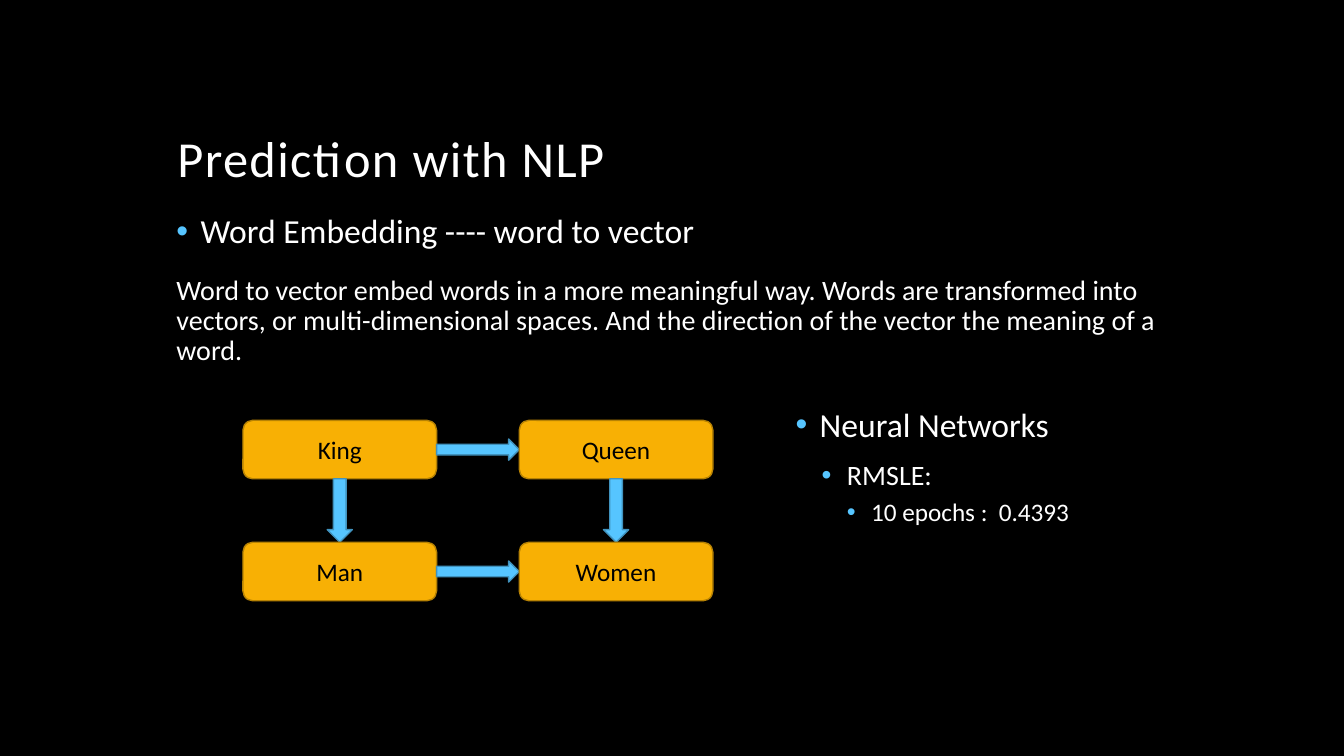
import pptx
import pptx.util
import pptx.dml.color
import pptx.enum.shapes
import pptx.enum.text
import pptx.oxml.ns
import lxml.etree

Inches, Pt = pptx.util.Inches, pptx.util.Pt
RGBColor = pptx.dml.color.RGBColor
SHAPE = pptx.enum.shapes.MSO_SHAPE
ANCHOR = pptx.enum.text.MSO_ANCHOR
ALIGN = pptx.enum.text.PP_ALIGN

# Content
TITLE = "Prediction with NLP"
# Each line: text, level, size, space before, left indent, hanging indent (0 = no bullet)
EMBEDDING = [
    ("Word Embedding ---- word to vector", 0, 24, 18, 0.24, 0.24),
    ("Word to vector embed words in a more meaningful way. Words are transformed "
     "into vectors, or multi-dimensional spaces. And the direction of the vector "
     "the meaning of a word.", 0, 20, 18, 0, 0),
]
NETWORKS = [
    ("Neural Networks", 0, 24, 18, 0.24, 0.24),
    ("RMSLE:", 1, 20, 12, 0.51, 0.25),
    ("10 epochs :  0.4393", 2, 18, 6, 0.75, 0.24),
]
WORDS = [["King", "Queen"], ["Man", "Women"]]

# Look
FONT = "Calibri"
BLACK = RGBColor(0x00, 0x00, 0x00)
WHITE = RGBColor(0xFF, 0xFF, 0xFF)
AMBER = RGBColor(0xF8, 0xB0, 0x04)
AMBER_EDGE = RGBColor(0xB7, 0x82, 0x03)
SKY = RGBColor(0x56, 0xC5, 0xFF)
SKY_EDGE = RGBColor(0x40, 0x92, 0xBD)

# Word grid, in inches
GRID_LEFT, GRID_TOP = 2.41, 4.17
BOX_WIDTH, BOX_HEIGHT = 1.92, 0.58
COLUMN_GAP, ROW_GAP = 0.82, 0.63
RIGHT_THICKNESS, DOWN_THICKNESS = 0.21, 0.25


def style_font(font, size, color):
    font.name, font.size, font.color.rgb = FONT, Pt(size), color


def place(box, left, top, width, height):
    box.left, box.top = Inches(left), Inches(top)
    box.width, box.height = Inches(width), Inches(height)


def add_bullet(properties, color):
    bullet_color = lxml.etree.SubElement(properties, pptx.oxml.ns.qn("a:buClr"))
    lxml.etree.SubElement(bullet_color, pptx.oxml.ns.qn("a:srgbClr"), val=str(color))
    lxml.etree.SubElement(properties, pptx.oxml.ns.qn("a:buFont"), typeface="Arial")
    lxml.etree.SubElement(properties, pptx.oxml.ns.qn("a:buChar"), char="•")


def fill_body(box, lines):
    frame = box.text_frame
    frame.auto_size = pptx.enum.text.MSO_AUTO_SIZE.NONE
    frame.text = "\n".join(line[0] for line in lines)
    for para, (_, level, size, before, indent, hanging) in zip(frame.paragraphs, lines):
        para.level, para.line_spacing, para.space_before = level, 0.9, Pt(before)
        properties = para._p.get_or_add_pPr()
        properties.set("marL", str(Inches(indent)))
        properties.set("indent", str(-Inches(hanging)))
        if hanging:
            add_bullet(properties, SKY)
        else:
            lxml.etree.SubElement(properties, pptx.oxml.ns.qn("a:buNone"))
        style_font(para.font, size, WHITE)


def add_block(page, kind, left, top, width, height, fill, edge):
    block = page.shapes.add_shape(
        kind, Inches(left), Inches(top), Inches(width), Inches(height))
    block.shadow.inherit = False
    block.fill.solid()
    block.fill.fore_color.rgb = fill
    block.line.color.rgb = edge
    block.line.width = Pt(1)
    return block


deck = pptx.Presentation()
deck.slide_width, deck.slide_height = Inches(13.33), Inches(7.5)
page = deck.slides.add_slide(deck.slide_layouts.get_by_name("Two Content"))
page.background.fill.solid()
page.background.fill.fore_color.rgb = BLACK

# Title
title = page.shapes.title
place(title, 1.66, 0.42, 10, 1.5)
title.text_frame.text = TITLE
title.text_frame.vertical_anchor = ANCHOR.BOTTOM
heading = title.text_frame.paragraphs[0]
heading.alignment, heading.line_spacing = ALIGN.LEFT, 0.9
style_font(heading.font, 36, WHITE)
heading.runs[0].font._element.set("spc", "100")

# Text lists
embedding, networks = page.placeholders[1], page.placeholders[2]
place(embedding, 1.65, 2.08, 10.02, 4.5)
fill_body(embedding, EMBEDDING)
place(networks, 7.79, 4, 4.83, 4.5)
fill_body(networks, NETWORKS)

# Word boxes, with arrows to the right and down
for row, words in enumerate(WORDS):
    for column, word in enumerate(words):
        left = GRID_LEFT + column * (BOX_WIDTH + COLUMN_GAP)
        top = GRID_TOP + row * (BOX_HEIGHT + ROW_GAP)
        box = add_block(page, SHAPE.ROUNDED_RECTANGLE, left, top,
                        BOX_WIDTH, BOX_HEIGHT, AMBER, AMBER_EDGE)
        box.text_frame.text = word
        box.text_frame.vertical_anchor = ANCHOR.MIDDLE
        label = box.text_frame.paragraphs[0]
        label.alignment = ALIGN.CENTER
        style_font(label.font, 18, BLACK)
        if column < len(words) - 1:
            add_block(page, SHAPE.RIGHT_ARROW, left + BOX_WIDTH,
                      top + (BOX_HEIGHT - RIGHT_THICKNESS) / 2,
                      COLUMN_GAP, RIGHT_THICKNESS, SKY, SKY_EDGE)
        if row < len(WORDS) - 1:
            add_block(page, SHAPE.DOWN_ARROW,
                      left + (BOX_WIDTH - DOWN_THICKNESS) / 2, top + BOX_HEIGHT,
                      DOWN_THICKNESS, ROW_GAP, SKY, SKY_EDGE)

# Drop the layout's unused placeholders
for holder in list(page.placeholders):
    if not holder.text_frame.text:
        holder._element.getparent().remove(holder._element)

deck.save("out.pptx")
